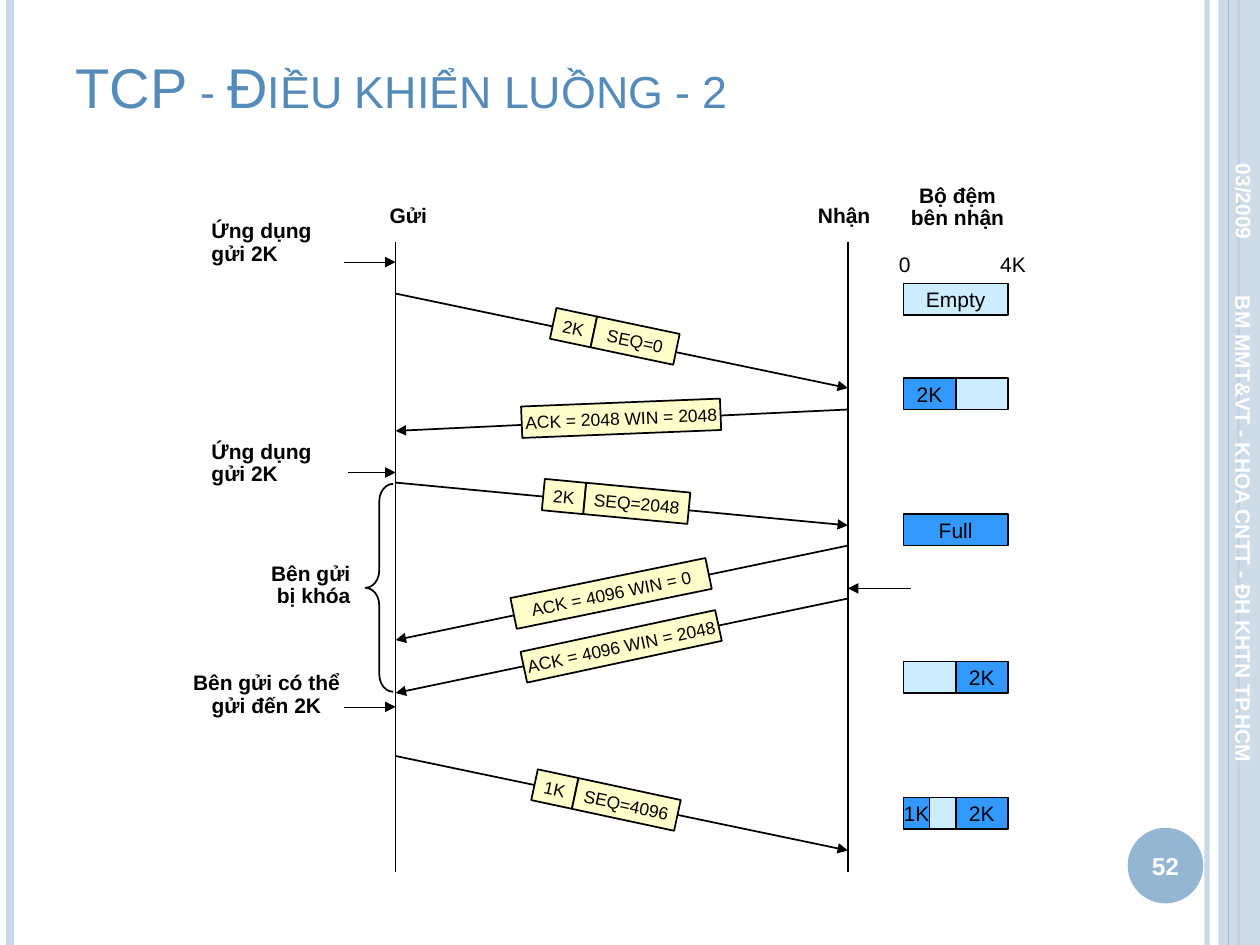
import math
from collections import namedtuple

from lxml import etree
from pptx import Presentation
from pptx.dml.color import RGBColor
from pptx.enum import shapes as kinds, text as txt
from pptx.oxml.ns import qn
from pptx.util import Inches, Pt

Box = namedtuple("Box", "x y w h")
LEFT, CENTER, RIGHT = txt.PP_ALIGN.LEFT, txt.PP_ALIGN.CENTER, txt.PP_ALIGN.RIGHT
TOP, MIDDLE = txt.MSO_ANCHOR.TOP, txt.MSO_ANCHOR.MIDDLE
SHAPE = kinds.MSO_SHAPE
BLACK, WHITE, BLUE, PALE = "000000", "FFFFFF", "94B6D2", "C8D7E5"
PACKET, FREE, USED = "FFFFCC", "CCECFF", "3399FF"


def color(hex_value):
    return RGBColor.from_string(hex_value)


def set_alpha(fill, percent):
    """Make a solid fill or line partly transparent."""
    node = fill.fore_color._xFill.find(qn("a:srgbClr"))
    etree.SubElement(node, qn("a:alpha")).set("val", str(percent * 1000))


def write(frame, content, size=12, ink=BLACK, bold=False, align=LEFT,
          anchor=TOP, wrap=True, spacing=None, margin=None):
    frame.word_wrap = wrap
    frame.vertical_anchor = anchor
    if margin is not None:
        frame.margin_left = frame.margin_right = Inches(margin)
        frame.margin_top = frame.margin_bottom = Inches(margin)
    for i, line in enumerate(content.split("\n")):
        paragraph = frame.paragraphs[0] if i == 0 else frame.add_paragraph()
        paragraph.alignment = align
        if spacing:
            paragraph.line_spacing = spacing
        run = paragraph.add_run()
        run.text = line
        run.font.name, run.font.size, run.font.bold = "Arial", Pt(size), bold
        run.font.color.rgb = color(ink)


def add_text(slide, content, box, rotation=0, **style):
    label = slide.shapes.add_textbox(*map(Inches, box))
    label.rotation = rotation
    write(label.text_frame, content, **style)
    return label


def add_shape(slide, kind, box, fill=None, outline=None, rotation=0):
    shape = slide.shapes.add_shape(kind, *map(Inches, box))
    shape.shadow.inherit = False
    shape.rotation = rotation
    if fill:
        shape.fill.solid()
        shape.fill.fore_color.rgb = color(fill)
    else:
        shape.fill.background()
    if outline:
        shape.line.color.rgb = color(outline)
        shape.line.width = Pt(1)
    else:
        shape.line.fill.background()
    return shape


def add_line(slide, x1, y1, x2, y2, ink=BLACK, width=1, arrow=False):
    line = slide.shapes.add_connector(
        kinds.MSO_CONNECTOR.STRAIGHT, *map(Inches, (x1, y1, x2, y2)))
    line.line.color.rgb = color(ink)
    line.line.width = Pt(width)
    if arrow:
        etree.SubElement(line.line._get_or_add_ln(), qn("a:tailEnd")).set("type", "triangle")
    etree.SubElement(line._element.spPr, qn("a:effectLst"))
    return line


def add_frame(slide, box):
    """Side stripes, page number and the vertical footer."""
    right = box.x + box.w
    bottom = box.y + box.h

    def stripe(x, ink, width):
        return add_line(slide, x, box.y, x, bottom, ink, width)

    set_alpha(stripe(right - 0.42, PALE, 3).line.fill, 93)
    stripe(box.x + 0.08, PALE, 4.5)
    stripe(right - 0.17, BLUE, 1.5)
    band = add_shape(slide, SHAPE.RECTANGLE, Box(right - 0.33, box.y, 0.33, box.h), PALE)
    set_alpha(band.fill, 87)
    stripe(right - 0.25, BLUE, 0.75)

    badge = Box(right - 1.05, bottom - 0.93, 0.6, 0.6)
    add_shape(slide, SHAPE.OVAL, badge, BLUE)
    add_text(slide, "52", badge, size=14, ink=WHITE, bold=True, align=CENTER, anchor=MIDDLE)

    footer = dict(rotation=90, ink=WHITE, bold=True, anchor=MIDDLE)
    add_text(slide, "03/2009", Box(right - 0.77, box.y + 1.39, 1.29, 0.42),
             align=CENTER, **footer)
    add_text(slide, "BM MMT&VT - KHOA CNTT - ĐH KHTN TP.HCM",
             Box(right - 2.59, box.y + 4.51, 4.92, 0.4), **footer)


def add_title(slide, box):
    title = slide.shapes.title
    title.left, title.top, title.width, title.height = map(Inches, box)
    write(title.text_frame, "TCP - Điều khiển luồng - 2", size=32, ink="558BB8",
          anchor=txt.MSO_ANCHOR.BOTTOM)
    title.text_frame.paragraphs[0].runs[0].font._element.set("cap", "small")


def add_packet(slide, x, y, angle, cells):
    """A strip of cells centred on (x, y), running along the angle."""
    turn = math.radians(angle)
    along = -sum(width for _, width in cells) / 2
    for content, width in cells:
        middle = along + width / 2
        cell = Box(x + middle * math.cos(turn) - width / 2,
                   y + middle * math.sin(turn) - 0.125, width, 0.25)
        shape = add_shape(slide, SHAPE.RECTANGLE, cell, PACKET, BLACK, angle % 360)
        write(shape.text_frame, content, size=10, align=CENTER, anchor=MIDDLE,
              wrap=False, margin=0)
        along += width


def add_exchange(slide, box):
    """Two time lines and the messages that pass between them."""
    right = box.x + box.w
    for x, name, shift in ((box.x, "Gửi", 0.1), (right, "Nhận", -0.03)):
        add_line(slide, x, box.y, x, box.y + box.h)
        add_text(slide, name, Box(x + shift - 0.35, box.y - 0.34, 0.7, 0.28),
                 bold=True, align=CENTER, spacing=0.9, wrap=False)

    # Start, end, packet centre, packet angle, packet cells
    messages = [
        (0.41, 1.16, 1.74, 0.75, 11.9, [("2K", 0.33), ("SEQ=0", 0.67)]),
        (1.33, 1.5, 1.79, 1.4, -2.3, [("ACK = 2048 WIN = 2048", 1.58)]),
        (1.91, 2.25, 1.75, 2.06, 5.4, [("2K", 0.33), ("SEQ=2048", 0.83)]),
        (2.41, 3.16, 1.71, 2.79, -11.6, [("ACK = 4096 WIN = 0", 1.58)]),
        (2.83, 3.58, 1.79, 3.21, -12.1, [("ACK = 4096 WIN = 2048", 1.58)]),
        (4.08, 4.83, 1.67, 4.43, 12.1, [("1K", 0.33), ("SEQ=4096", 0.83)]),
    ]
    for start, end, x, y, angle, cells in messages:
        origin, target = (box.x, right) if angle > 0 else (right, box.x)
        add_line(slide, origin, box.y + start, target, box.y + end, arrow=True)
        add_packet(slide, box.x + x, box.y + y, angle, cells)

    # The receiving application reads
    add_line(slide, right + 0.5, box.y + 2.75, right, box.y + 2.75, width=0.25, arrow=True)


def add_sender_notes(slide, box):
    """Labels left of the sender, their arrows and the blocked interval."""
    right = box.x + box.w
    # Text, left, top, width, alignment, arrow offset and length
    notes = [
        ("Ứng dụng\ngửi 2K", 0.16, 0, 1.18, LEFT, 0.38, 0.41),
        ("Ứng dụng\ngửi 2K", 0.16, 1.75, 1.18, LEFT, 0.3, 0.38),
        ("Bên gửi\nbị khóa", 0.58, 2.72, 0.88, RIGHT, None, 0),
        ("Bên gửi có thể\ngửi đến 2K", 0, 3.59, 1.39, CENTER, 0.32, 0.41),
    ]
    for content, x, y, width, align, drop, length in notes:
        note = add_shape(slide, SHAPE.RECTANGLE,
                         Box(box.x + x, box.y + y, width, 0.46), WHITE)
        write(note.text_frame, content, bold=True, align=align, spacing=0.9)
        if drop is not None:
            arrow_y = box.y + y + drop
            add_line(slide, right - length, arrow_y, right, arrow_y, width=0.25, arrow=True)
    brace = add_shape(slide, SHAPE.LEFT_BRACE,
                      Box(right - 0.24, box.y + 2.14, 0.22, 1.65), outline=BLACK)
    brace.adjustments[0] = 0.63


def add_buffers(slide, box):
    """States of the receive buffer, each split into shares of 4K."""
    add_text(slide, "Bộ đệm\nbên nhận", Box(box.x - 0.12, box.y, 1.1, 0.46),
             bold=True, align=CENTER, spacing=0.9, wrap=False)
    # Scale labels, centred on their marks
    for content, middle in (("0", 0.01), ("4K", 0.87)):
        add_text(slide, content, Box(box.x + middle - 0.3, box.y + 0.53, 0.6, 0.3),
                 align=CENTER, wrap=False)
    states = [
        (0.83, [("Empty", 4, FREE)]),
        (1.58, [("2K", 2, USED), ("", 2, FREE)]),
        (2.66, [("Full", 4, USED)]),
        (3.83, [("", 2, FREE), ("2K", 2, USED)]),
        (4.91, [("1K", 1, USED), ("", 1, FREE), ("2K", 2, USED)]),
    ]
    for y, parts in states:
        x = box.x
        for content, share, fill in parts:
            width = box.w * share / 4
            part = add_shape(slide, SHAPE.RECTANGLE, Box(x, box.y + y, width, 0.25), fill, BLACK)
            if content:
                write(part.text_frame, content, align=CENTER, anchor=MIDDLE, wrap=False, margin=0)
            x += width


def main():
    deck = Presentation()
    deck.slide_width, deck.slide_height = Inches(10), Inches(7.5)
    slide = deck.slides.add_slide(deck.slide_layouts[5])
    add_frame(slide, Box(0, 0, 10, 7.5))
    add_title(slide, Box(0.5, 0.3, 8.42, 0.7))
    add_exchange(slide, Box(3.14, 1.92, 3.59, 5))
    add_sender_notes(slide, Box(1.42, 1.7, 1.72, 4.05))
    add_buffers(slide, Box(7.17, 1.42, 0.83, 5.16))
    deck.save("out.pptx")


if __name__ == "__main__":
    main()
